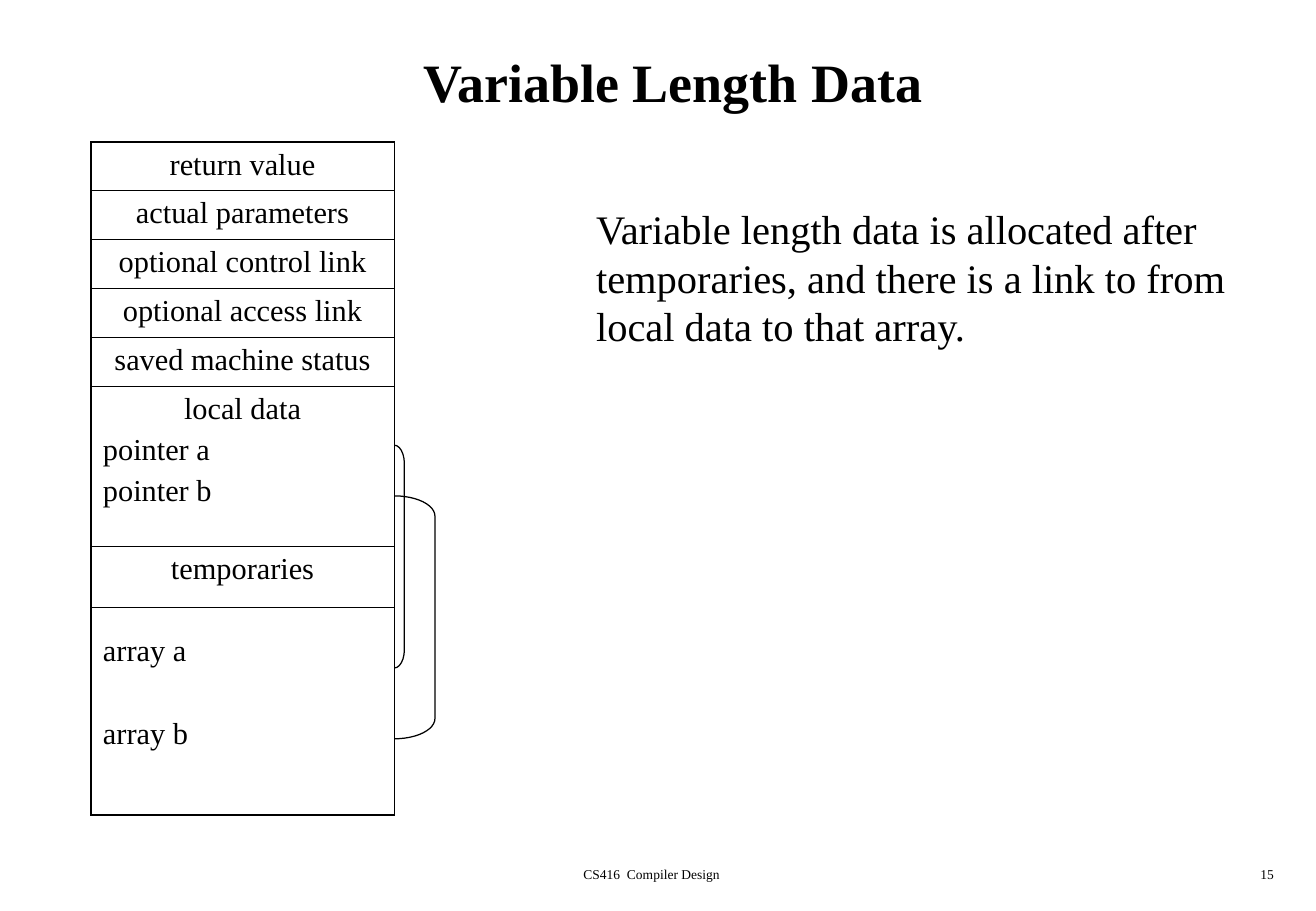
from lxml.etree import SubElement
from pptx import Presentation
from pptx.dml.color import RGBColor
from pptx.enum.shapes import MSO_CONNECTOR, MSO_SHAPE
from pptx.enum.text import MSO_ANCHOR, PP_ALIGN
from pptx.oxml.ns import qn
from pptx.util import Cm, Pt

COLORS = {"ink": "000000"}
FONT = "Times New Roman"
LEFT, MID, RIGHT = PP_ALIGN.LEFT, PP_ALIGN.CENTER, PP_ALIGN.RIGHT
GAP, SKIP = 4.5, 29  # points before a paragraph: normal, and one line skipped

# Each row: height in cm, then lines of (text, alignment, space before)
ROW = 1.02
FRAME = [(ROW, [(name, MID, 0)]) for name in (
    "return value", "actual parameters", "optional control link",
    "optional access link", "saved machine status")]
FRAME += [
    (3.35, [("local data", MID, 0), ("pointer a", LEFT, GAP),
            ("pointer b", LEFT, GAP)]),
    (5.62, [("temporaries", MID, 0), ("array a", LEFT, SKIP),
            ("array b", LEFT, SKIP)]),
]
THIN_ROW = 3  # its right border is thin
TABLE = (1.9, 2.97, 6.35)  # left, top, width
SPLIT = 12.7  # line between temporaries and arrays

# Links from pointer to array: top, width, height, corner ratio
LINKS = [(9.31, 0.21, 4.66, 1.83), (10.37, 0.85, 5.08, 0.5)]

# Text boxes: place, size, alignment, bold, anchor, wrap, lines
BOXES = [
    ((1.06, 0.42, 26.04, 2.54), 32, MID, True, MSO_ANCHOR.MIDDLE, True,
     ["Variable Length Data"]),
    ((12.22, 4.14, 13.67, 3.3), 24, LEFT, False, MSO_ANCHOR.TOP, False,
     ["Variable length data is allocated after",
      "temporaries, and there is a link to from",
      "local data to that array."]),
    ((8.48, 17.98, 10.31, 0.64), 8, MID, False, MSO_ANCHOR.TOP, True,
     ["CS416  Compiler Design"]),
    ((21.16, 17.98, 5.74, 0.64), 8, RIGHT, False, MSO_ANCHOR.TOP, True,
     ["15"]),
]


def ink():
    return RGBColor.from_string(COLORS["ink"])


def write(frame, lines, size, bold=False):
    """Fill a text frame with lines of (text, alignment, space before)."""
    for i, (text, align, gap) in enumerate(lines):
        para = frame.add_paragraph() if i else frame.paragraphs[0]
        para.alignment = align
        if gap:
            para.space_before = Pt(gap)
        run = para.add_run()
        run.text = text
        run.font.name, run.font.size, run.font.bold = FONT, Pt(size), bold
        run.font.color.rgb = ink()


def border(cell, widths):
    """Set the cell's left, right, top and bottom borders, in points."""
    props = cell._tc.get_or_add_tcPr()
    for i, (side, width) in enumerate(zip("LRTB", widths)):
        line = props.makeelement(qn(f"a:ln{side}"), {"w": str(Pt(width))})
        fill = SubElement(line, qn("a:solidFill"))
        SubElement(fill, qn("a:srgbClr"), val=COLORS["ink"])
        props.insert(i, line)


def add_frame(slide):
    left, top, width = TABLE
    total = sum(height for height, _ in FRAME)
    table = slide.shapes.add_table(
        len(FRAME), 1, Cm(left), Cm(top), Cm(width), Cm(total)).table
    table.first_row = table.horz_banding = False
    last = len(FRAME) - 1
    for i, (height, lines) in enumerate(FRAME):
        table.rows[i].height = Cm(height)
        cell = table.cell(i, 0)
        cell.fill.background()
        write(cell.text_frame, lines, 18)
        border(cell, (1.08, 0.45 if i == THIN_ROW else 1.08,
                      0.45 if i else 1.08, 1.08 if i == last else 0.45))


def add_links(slide):
    left, _, width = TABLE
    edge = left + width
    split = slide.shapes.add_connector(
        MSO_CONNECTOR.STRAIGHT, Cm(left), Cm(SPLIT), Cm(edge), Cm(SPLIT))
    SubElement(split._element.spPr, qn("a:effectLst"))
    marks = [split]
    for top, wide, height, corner in LINKS:
        link = slide.shapes.add_shape(
            MSO_SHAPE.RIGHT_BRACKET, Cm(edge), Cm(top), Cm(wide), Cm(height))
        link.adjustments[0] = corner
        link.shadow.inherit = False
        link.fill.background()
        marks.append(link)
    for mark in marks:
        mark.line.color.rgb = ink()
        mark.line.width = Pt(0.75)


def add_boxes(slide):
    for place, size, align, bold, anchor, wrap, lines in BOXES:
        frame = slide.shapes.add_textbox(*map(Cm, place)).text_frame
        frame.word_wrap = wrap
        frame.vertical_anchor = anchor
        write(frame, [(text, align, 0) for text in lines], size, bold)


def main():
    deck = Presentation()
    deck.slide_width, deck.slide_height = Cm(27.53), Cm(19.05)
    slide = deck.slides.add_slide(deck.slide_layouts[6])
    add_frame(slide)
    add_links(slide)
    add_boxes(slide)
    deck.save("out.pptx")


if __name__ == "__main__":
    main()
